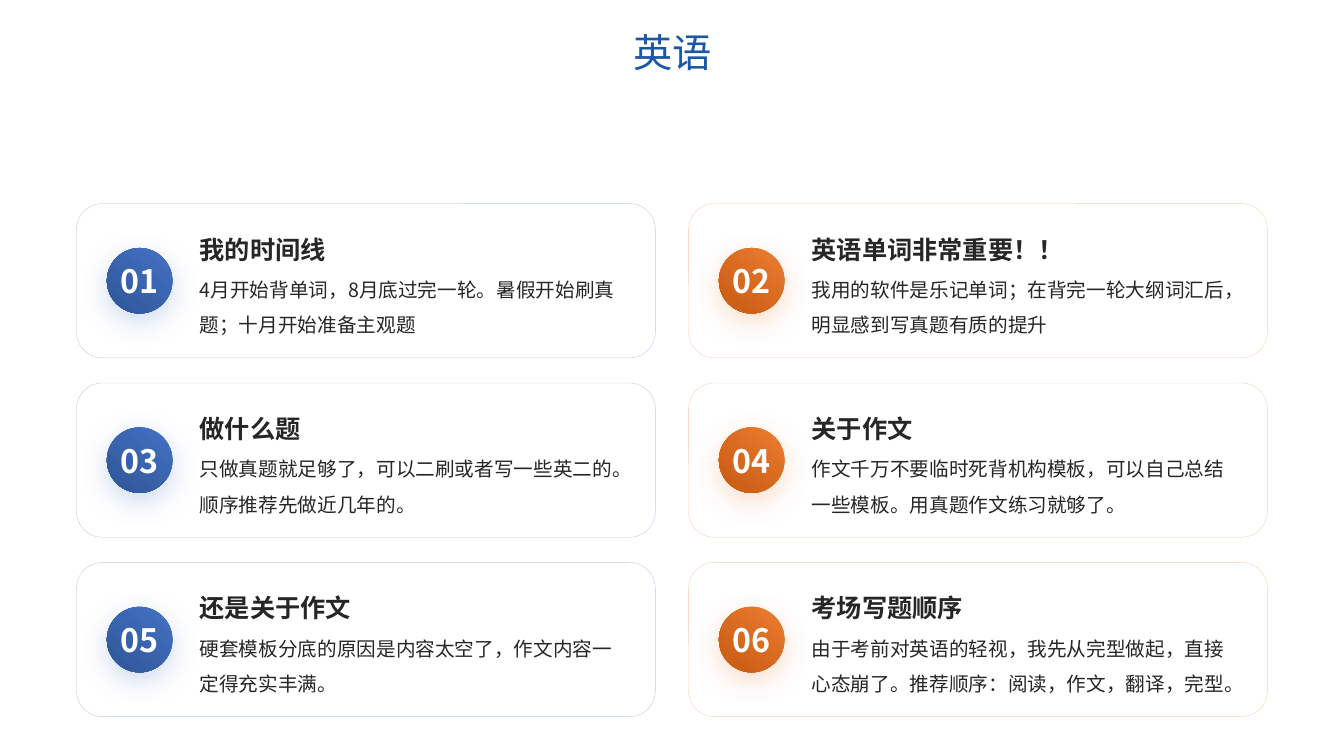
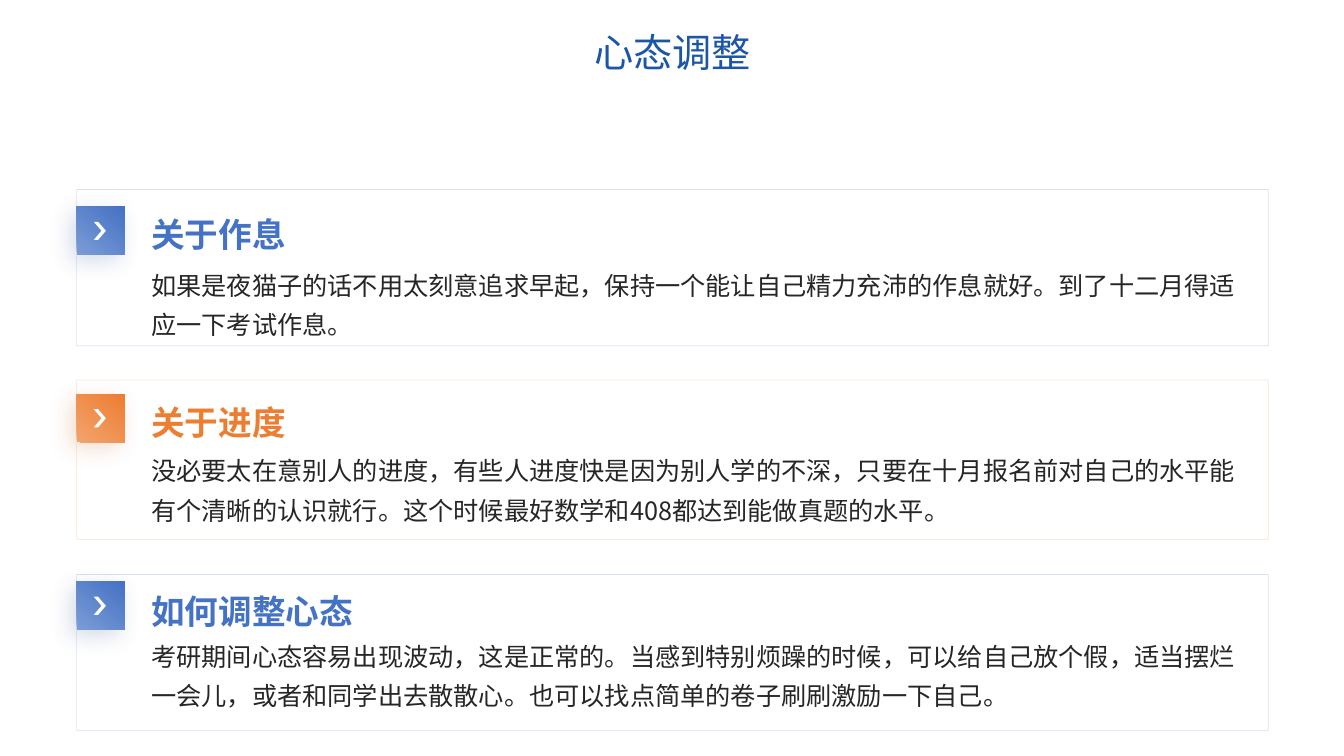
from lxml import etree
from pptx import Presentation
from pptx.dml.color import RGBColor
from pptx.enum.shapes import MSO_SHAPE as Preset
from pptx.enum.text import MSO_ANCHOR as Anchor, PP_ALIGN as Align
from pptx.oxml.ns import qn
from pptx.util import Inches, Pt

COLORS = {
    "title": "1C56A6", "text": "262626", "white": "FFFFFF",
    "blue": "4472C4", "blue_dark": "2F5597", "blue_mid": "7C9CD6", "blue_line": "8FAADC",
    "orange": "ED7D31", "orange_dark": "C55A11", "orange_mid": "F2A46F", "orange_line": "F4B183",
}
BODY_FONT = "Noto Sans CJK SC"
TITLE_FONT = "Roboto"


def add_shape(slide, preset, box, fill, angle=0, line=None, shadow=None):
    """fill: one colour or two gradient colours; angle: clockwise degrees;
    line: colour, points, opacity %; shadow: colour, opacity %, blur, distance, angle."""
    shape = slide.shapes.add_shape(preset, *map(Inches, box))
    shape.shadow.inherit = False
    properties = shape._element.spPr
    if isinstance(fill, str):
        shape.fill.solid()
        shape.fill.fore_color.rgb = RGBColor.from_string(COLORS[fill])
    else:
        shape.fill.gradient()
        shape.fill.gradient_angle = 360 - angle
        for stop, name in zip(shape.fill.gradient_stops, fill):
            stop.color.rgb = RGBColor.from_string(COLORS[name])
    if line:
        name, width, opacity = line
        shape.line.color.rgb = RGBColor.from_string(COLORS[name])
        shape.line.width = Pt(width)
        color = properties.find(qn("a:ln")).find(".//" + qn("a:srgbClr"))
        etree.SubElement(color, qn("a:alpha"), val=str(opacity * 1000))
    else:
        shape.line.fill.background()
    if shadow:
        name, opacity, blur, distance, direction = shadow
        outer = etree.SubElement(
            properties.find(qn("a:effectLst")), qn("a:outerShdw"),
            blurRad=str(Pt(blur)), dist=str(Pt(distance)),
            dir=str(direction * 60000), rotWithShape="0")
        color = etree.SubElement(outer, qn("a:srgbClr"), val=COLORS[name])
        etree.SubElement(color, qn("a:alpha"), val=str(opacity * 1000))
    return shape


def write(shape, text, size, color, bold=False, font=BODY_FONT, align=Align.LEFT,
          anchor=Anchor.TOP, spacing=1.0, wrap=True):
    frame = shape.text_frame
    frame.text = text
    frame.word_wrap = wrap
    frame.vertical_anchor = anchor
    frame.margin_left = frame.margin_top = frame.margin_right = frame.margin_bottom = 0
    paragraph = frame.paragraphs[0]
    paragraph.alignment = align
    paragraph.line_spacing = spacing
    run = paragraph.runs[0]
    run.font.size = Pt(size)
    run.font.bold = bold
    run.font.name = font
    run.font.color.rgb = RGBColor.from_string(COLORS[color])
    etree.SubElement(run._r.get_or_add_rPr(), qn("a:ea"), typeface=font)


presentation = Presentation()
presentation.slide_width = Inches(13.33)
presentation.slide_height = Inches(7.5)

slides = []
for title in ("英语", "心态调整"):
    slide = presentation.slides.add_slide(presentation.slide_layouts[6])
    title_box = slide.shapes.add_textbox(Inches(5.35), Inches(0.28), Inches(2.64), Inches(0.47))
    write(title_box, title, 28, "title", font=TITLE_FONT, align=Align.CENTER)
    slides.append(slide)
english_slide, mindset_slide = slides

# English: numbered cards in two columns
cards = [
    ("我的时间线", "4月开始背单词，8月底过完一轮。暑假开始刷真题；十月开始准备主观题"),
    ("英语单词非常重要！！", "我用的软件是乐记单词；在背完一轮大纲词汇后，明显感到写真题有质的提升"),
    ("做什么题", "只做真题就足够了，可以二刷或者写一些英二的。顺序推荐先做近几年的。"),
    ("关于作文", "作文千万不要临时死背机构模板，可以自己总结一些模板。用真题作文练习就够了。"),
    ("还是关于作文", "硬套模板分底的原因是内容太空了，作文内容一定得充实丰满。"),
    ("考场写题顺序", "由于考前对英语的轻视，我先从完型做起，直接心态崩了。推荐顺序：阅读，作文，翻译，完型。"),
]
for index, (heading, body) in enumerate(cards):
    row, column = divmod(index, 2)
    left, top = 0.76 + 6.07 * column, 2.02 + 1.78 * row
    accent = ("blue", "orange")[column]
    add_shape(english_slide, Preset.ROUNDED_RECTANGLE, (left, top, 5.74, 1.53), "white",
              line=(accent, 0.25, 36))
    circle = add_shape(english_slide, Preset.OVAL, (left + 0.3, top + 0.44, 0.65, 0.65),
                       (accent, accent + "_dark"), angle=128, shadow=(accent, 25, 20, 6, 90))
    write(circle, f"{index + 1:02d}", 23, "white", bold=True, align=Align.CENTER,
          anchor=Anchor.MIDDLE, wrap=False)
    heading_box = english_slide.shapes.add_textbox(
        Inches(left + 1.22), Inches(top + 0.1), Inches(4.18), Inches(0.5))
    write(heading_box, heading, 18, "text", bold=True, anchor=Anchor.BOTTOM)
    body_box = english_slide.shapes.add_textbox(
        Inches(left + 1.22), Inches(top + 0.62), Inches(4.18), Inches(0.81))
    write(body_box, body, 14, "text", spacing=1.5)

# Mindset: full-width panels with a chevron tile
panels = [
    ("blue", 1.88, 1.55, "关于作息",
     "如果是夜猫子的话不用太刻意追求早起，保持一个能让自己精力充沛的作息就好。到了十二月得适应一下考试作息。"),
    ("orange", 3.77, 1.58, "关于进度",
     "没必要太在意别人的进度，有些人进度快是因为别人学的不深，只要在十月报名前对自己的水平能有个清晰的认识就行。"
     "这个时候最好数学和408都达到能做真题的水平。"),
    ("blue", 5.7, 1.55, "如何调整心态",
     "考研期间心态容易出现波动，这是正常的。当感到特别烦躁的时候，可以给自己放个假，适当摆烂一会儿，"
     "或者和同学出去散散心。也可以找点简单的卷子刷刷激励一下自己。"),
]
for index, (accent, top, height, heading, body) in enumerate(panels):
    add_shape(mindset_slide, Preset.RECTANGLE, (0.76, top, 11.82, height), "white",
              line=(accent + "_line", 0.5, 35))
    heading_box = mindset_slide.shapes.add_textbox(
        Inches(1.5), Inches(2.04 + 1.87 * index), Inches(10.76), Inches(0.48))
    write(heading_box, heading, 24, accent, bold=True, anchor=Anchor.BOTTOM)
    body_box = mindset_slide.shapes.add_textbox(
        Inches(1.5), Inches(2.59 + 1.84 * index), Inches(10.76), Inches(0.84))
    write(body_box, body, 18, "text", spacing=1.3)
    tile_top = 2.05 + 1.86 * index
    add_shape(mindset_slide, Preset.RECTANGLE, (0.76, tile_top, 0.48, 0.48),
              (accent + "_mid", accent), angle=310, shadow=(accent + "_dark", 20, 16, 6, 135))
    chevron = add_shape(mindset_slide, Preset.CHEVRON, (0.93, tile_top + 0.15, 0.12, 0.18), "white")
    chevron.adjustments[0] = 0.64

presentation.save("out.pptx")
